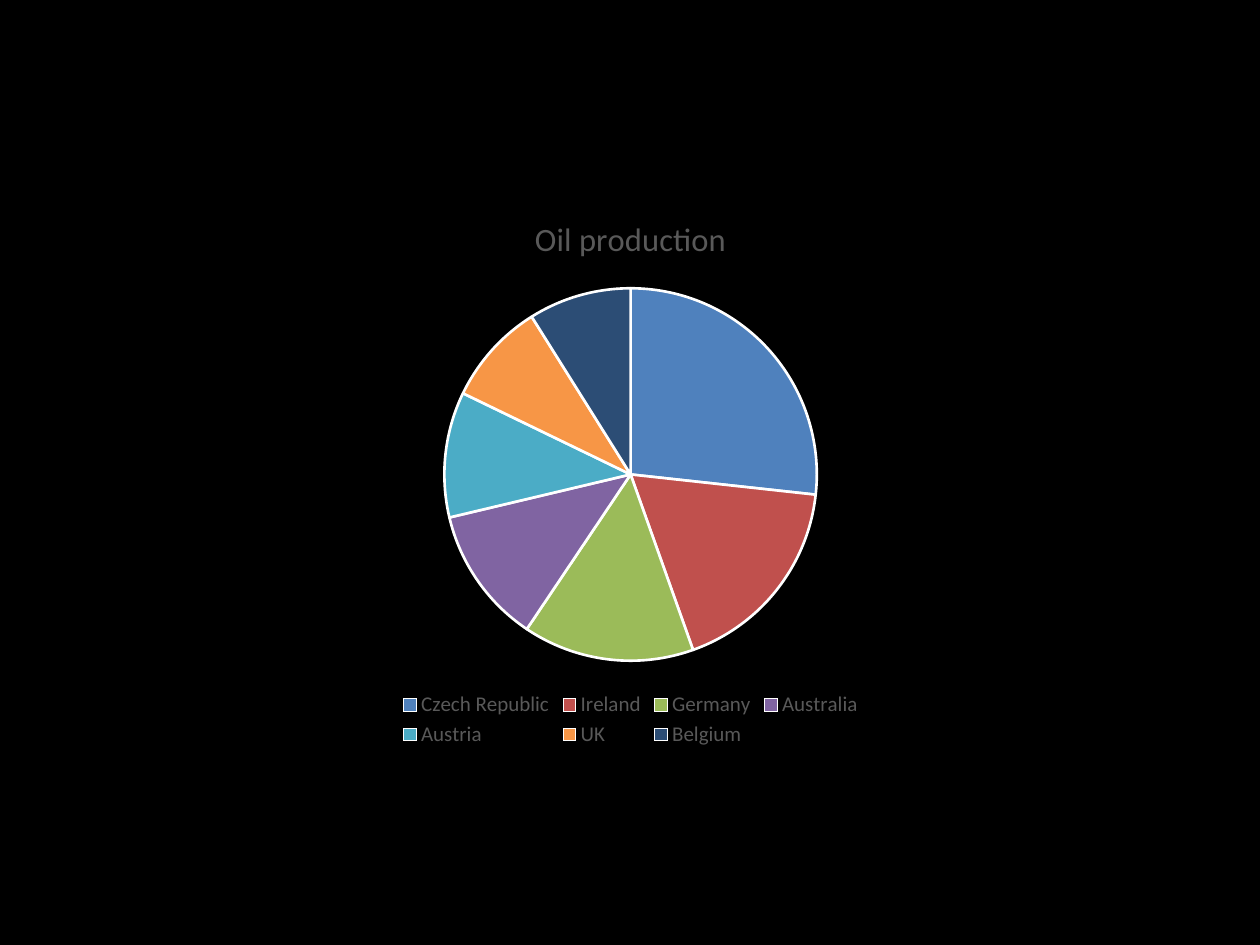
"""Build a slide with a pie chart of oil production by country."""
from dataclasses import dataclass

from pptx import Presentation
from pptx.chart.data import CategoryChartData
from pptx.dml.color import RGBColor
from pptx.enum.chart import XL_CHART_TYPE as ChartType, XL_LEGEND_POSITION as LegendPosition
from pptx.util import Inches, Pt


@dataclass(frozen=True)
class Theme:
    """Colours, font and type sizes of the slide."""
    background: str = "000000"
    text: str = "595959"
    slice_border: str = "FFFFFF"
    font: str = "Calibri"
    title_size: float = 18.6
    legend_size: float = 12
    base_size: float = 10
    border_width: float = 1.5


THEME = Theme()
TITLE = "Oil production"
COUNTRIES = [
    ("Czech Republic", 27, "4F81BD"),
    ("Ireland", 18, "C0504D"),
    ("Germany", 15, "9BBB59"),
    ("Australia", 12, "8064A2"),
    ("Austria", 11, "4BACC6"),
    ("UK", 9, "F79646"),
    ("Belgium", 9, "2C4D75"),
]


def paint(fill, color):
    """Make a fill solid in the given colour."""
    fill.solid()
    fill.fore_color.rgb = RGBColor.from_string(color)


def style_font(font, size):
    """Apply the theme typeface and text colour at a size."""
    font.name = THEME.font
    font.size = Pt(size)
    font.bold = False
    font.color.rgb = RGBColor.from_string(THEME.text)


def add_title(chart):
    """Give the chart its title."""
    text_frame = chart.chart_title.text_frame
    text_frame.text = TITLE
    style_font(text_frame.paragraphs[0].runs[0].font, THEME.title_size)
    chart.chart_title.include_in_layout = False


def add_legend(chart):
    """Place the legend below the pie."""
    chart.has_legend = True
    chart.legend.position = LegendPosition.BOTTOM
    chart.legend.include_in_layout = False
    style_font(chart.legend.font, THEME.legend_size)


def color_slices(plot):
    """Fill and outline each country's slice."""
    plot.vary_by_categories = True
    for index, (_, _, color) in enumerate(COUNTRIES):
        slice_format = plot.series[0].points[index].format
        paint(slice_format.fill, color)
        paint(slice_format.line.fill, THEME.slice_border)
        slice_format.line.width = Pt(THEME.border_width)


def add_pie(slide):
    """Add the pie chart of production by country."""
    names, values, _ = zip(*COUNTRIES)
    data = CategoryChartData()
    data.categories = names
    data.add_series(TITLE, values)
    chart = slide.shapes.add_chart(
        ChartType.PIE, Inches(1.67), Inches(1.53), Inches(6.67), Inches(4.44), data
    ).chart
    style_font(chart.font, THEME.base_size)
    add_title(chart)
    add_legend(chart)
    color_slices(chart.plots[0])


def main():
    """Create and save the presentation."""
    presentation = Presentation()
    presentation.slide_width = Inches(10)
    presentation.slide_height = Inches(7.5)
    slide = presentation.slides.add_slide(presentation.slide_layouts[6])
    paint(slide.background.fill, THEME.background)
    add_pie(slide)
    presentation.save("out.pptx")


if __name__ == "__main__":
    main()
